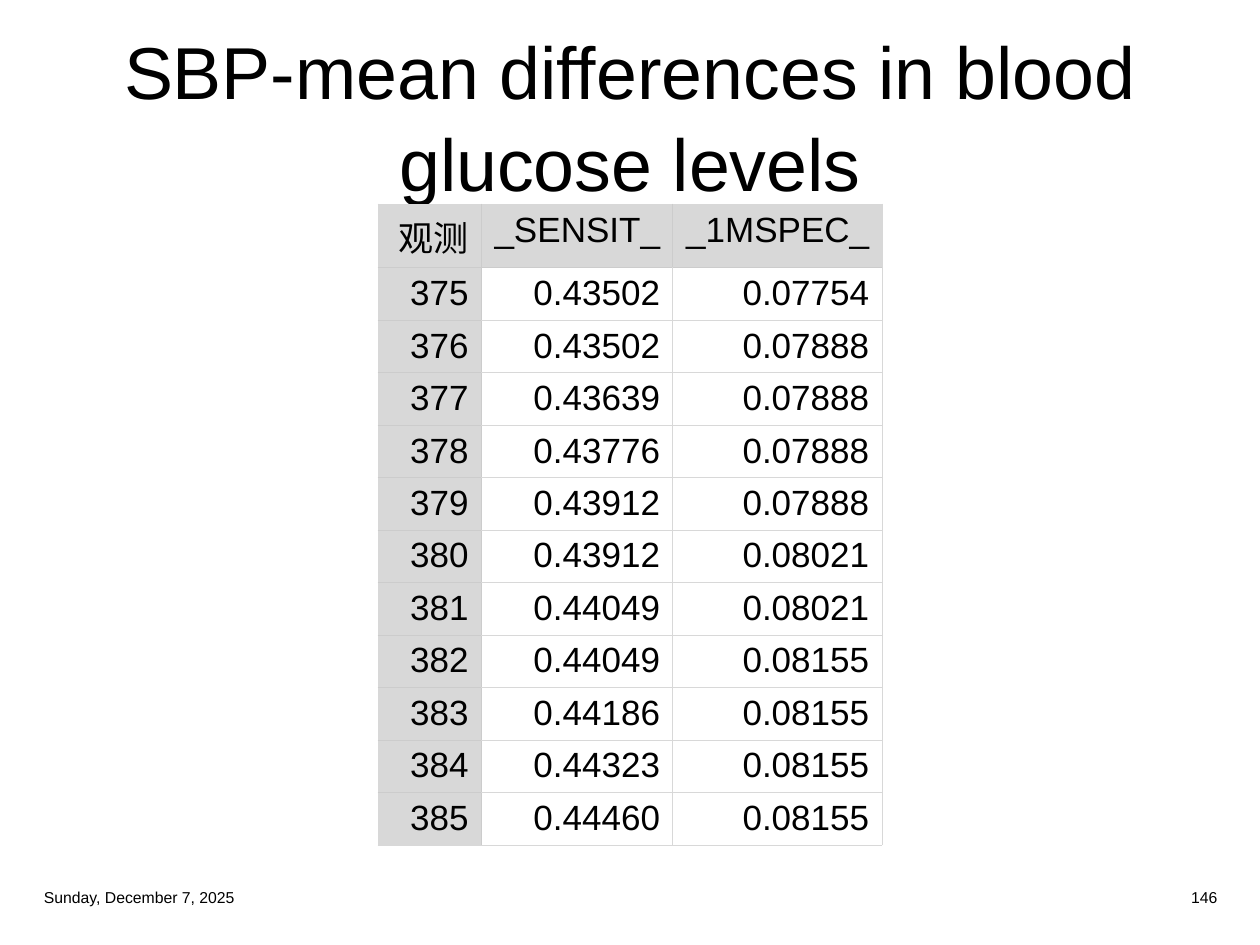
from lxml.etree import SubElement
from pptx import Presentation
from pptx.dml.color import RGBColor
from pptx.enum.text import MSO_ANCHOR as Anchor, PP_ALIGN as Align
from pptx.oxml.ns import qn
from pptx.util import Inches, Pt

COLORS = {"text": "000000", "header": "D8D8D8", "body": "FFFFFF",
          "grid": "D8D8D8", "header_grid": "CCCCCC"}
FONT = "Arial"
TITLE = "SBP-mean differences in blood\vglucose levels"
HEADINGS = ("观测", "_SENSIT_", "_1MSPEC_")
FIRST_OBSERVATION = 375
RESULTS = [
    ("0.43502", "0.07754"), ("0.43502", "0.07888"), ("0.43639", "0.07888"),
    ("0.43776", "0.07888"), ("0.43912", "0.07888"), ("0.43912", "0.08021"),
    ("0.44049", "0.08021"), ("0.44049", "0.08155"), ("0.44186", "0.08155"),
    ("0.44323", "0.08155"), ("0.44460", "0.08155"),
]
COLUMN_WIDTHS = (0.82, 1.52, 1.66)


def write_text(frame, text, size, align):
    frame.text = text
    paragraph = frame.paragraphs[0]
    paragraph.alignment = align
    for run in paragraph.runs:
        for name, value in {"name": FONT, "size": Pt(size)}.items():
            setattr(run.font, name, value)
        run.font.color.rgb = RGBColor.from_string(COLORS["text"])


def add_title(slide):
    title = slide.shapes.title
    box = {"left": 0.25, "top": 0.25, "width": 9.5, "height": 1.31}
    for name, value in box.items():
        setattr(title, name, Inches(value))
    title.text_frame.vertical_anchor = Anchor.MIDDLE
    write_text(title.text_frame, TITLE, 42, Align.CENTER)
    title.text_frame.paragraphs[0].line_spacing = 1.04


def add_footer(slide, left, text, align):
    box = slide.shapes.add_textbox(Inches(left), Inches(6.99), Inches(2.38), Inches(0.26))
    box.text_frame.word_wrap = True
    box.text_frame.vertical_anchor = Anchor.MIDDLE
    write_text(box.text_frame, text, 9, align)


def set_borders(cell, colors):
    properties = cell._tc.get_or_add_tcPr()
    for index, (side, color) in enumerate(colors.items()):
        line = properties.makeelement(qn(f"a:ln{side}"), {"w": str(Pt(0.5))})
        fill = SubElement(line, qn("a:solidFill"))
        SubElement(fill, qn("a:srgbClr"), val=COLORS[color])
        properties.insert(index, line)  # borders come before the fill


def add_results_table(slide):
    rows = [HEADINGS] + [(str(number), *values)
                         for number, values in enumerate(RESULTS, FIRST_OBSERVATION)]
    last_row, last_column = len(rows) - 1, len(HEADINGS) - 1
    table = slide.shapes.add_table(len(rows), len(HEADINGS), Inches(3), Inches(1.62),
                                   Inches(sum(COLUMN_WIDTHS)), Inches(5)).table
    for column, width in zip(table.columns, COLUMN_WIDTHS):
        column.width = Inches(width)

    for r, row in enumerate(rows):
        for c, text in enumerate(row):
            cell = table.cell(r, c)
            write_text(cell.text_frame, text, 20, Align.RIGHT)
            is_header = r == 0 or c == 0
            cell.fill.solid()
            cell.fill.fore_color.rgb = RGBColor.from_string(
                COLORS["header" if is_header else "body"])
            # Lines that touch a header cell inside the table are darker
            darker = {"L": c > 0 and (r == 0 or c == 1),
                      "R": c < last_column and is_header,
                      "T": r > 0 and (c == 0 or r == 1),
                      "B": r < last_row and is_header}
            set_borders(cell, {side: "header_grid" if dark else "grid"
                               for side, dark in darker.items()})


def main():
    presentation = Presentation()
    presentation.slide_width, presentation.slide_height = Inches(10), Inches(7.5)
    slide = presentation.slides.add_slide(presentation.slide_layouts[5])
    add_title(slide)
    add_results_table(slide)
    # Date and slide number
    add_footer(slide, 0.25, "Sunday, December 7, 2025", Align.LEFT)
    add_footer(slide, 7.38, "146", Align.RIGHT)
    presentation.save("out.pptx")


if __name__ == "__main__":
    main()
